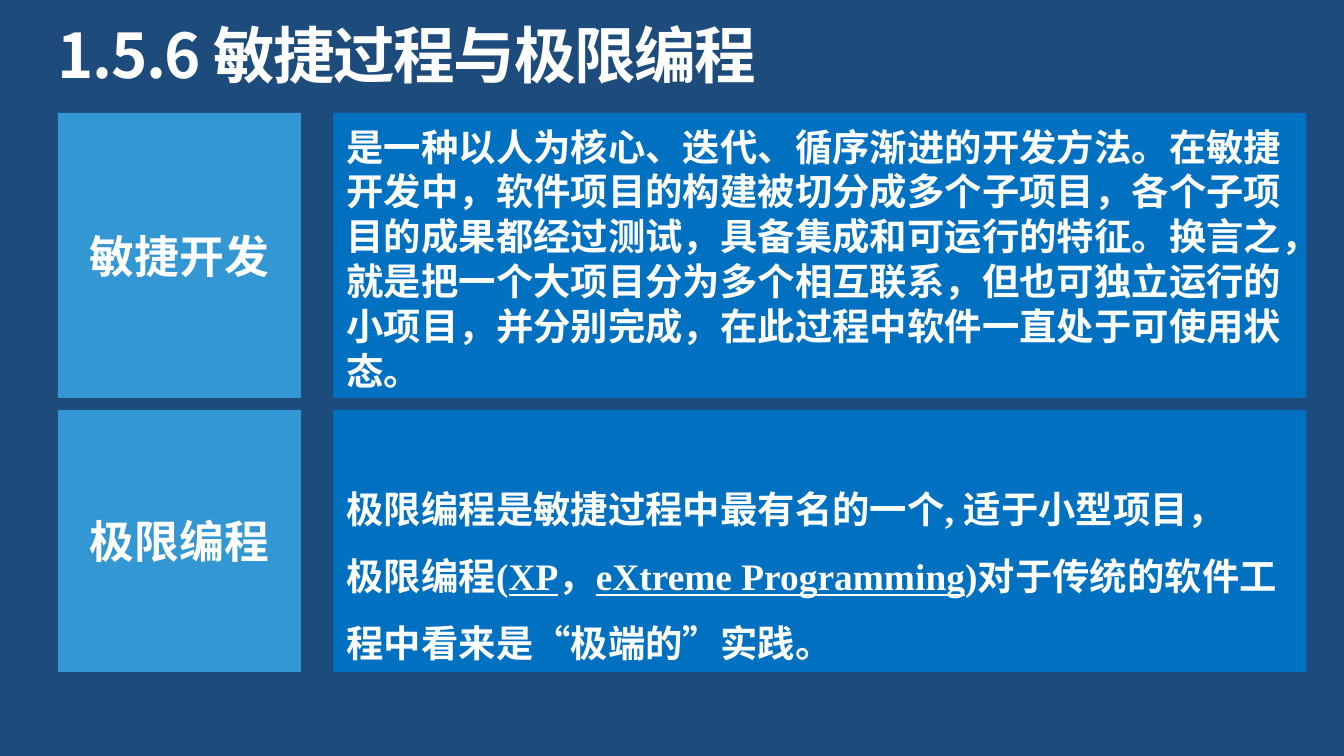
from lxml import etree
from pptx import Presentation
from pptx.dml.color import RGBColor
from pptx.enum.shapes import MSO_SHAPE
from pptx.enum.text import MSO_ANCHOR as Anchor, PP_ALIGN as Align
from pptx.oxml.ns import qn
from pptx.util import Inches, Pt

BODY_FONT = "Times New Roman"
CHINESE_FONT = "Noto Sans CJK SC"
BACKGROUND, LABEL_FILL, DETAIL_FILL, WHITE = "1D4C7C", "3397D3", "0070C0", "FFFFFF"
LEFT, LABEL_WIDTH, DETAIL_LEFT, DETAIL_WIDTH = 0.43, 1.81, 2.48, 7.24

AGILE = [[(
    "是一种以人为核心、迭代、循序渐进的开发方法。在敏捷开发中，软件项目的构建被切分成多个子项目，"
    "各个子项目的成果都经过测试，具备集成和可运行的特征。换言之，就是把一个大项目分为多个相互联系，"
    "但也可独立运行的小项目，并分别完成，在此过程中软件一直处于可使用状态。", False)]]
EXTREME = [
    [("极限编程是敏捷过程中最有名的一个, 适于小型项目，", False)],
    [("极限编程(", False), ("XP", True), ("，", False), ("eXtreme Programming", True),
     (")对于传统的软件工程中看来是“极端的”实践。", False)],
]


def color(value):
    return RGBColor.from_string(value)


def write_text(frame, paragraphs, size, font=BODY_FONT, align=Align.LEFT,
               anchor=Anchor.TOP, line_spacing=None, margins=(0.1, 0.05), tracking=None):
    """Fill a frame with paragraphs, each a list of (text, underlined) runs."""
    frame.word_wrap = True
    frame.vertical_anchor = anchor
    frame.margin_left = frame.margin_right = Inches(margins[0])
    frame.margin_top = frame.margin_bottom = Inches(margins[1])
    for index, runs in enumerate(paragraphs):
        paragraph = frame.add_paragraph() if index else frame.paragraphs[0]
        paragraph.alignment = align
        if line_spacing:
            paragraph.line_spacing = line_spacing
        for text, underlined in runs:
            run = paragraph.add_run()
            run.text = text
            run.font.size = Pt(size)
            run.font.bold = True
            run.font.underline = underlined
            run.font.color.rgb = color(WHITE)
            run.font.name = font
            properties = run.font._element
            properties.set("lang", "zh-CN")
            etree.SubElement(properties, qn("a:ea")).set("typeface", CHINESE_FONT)
            if tracking:
                properties.set("spc", str(round(tracking * 100)))


def add_title(slide, left, top, width, height, text):
    box = slide.shapes.add_textbox(Inches(left), Inches(top), Inches(width), Inches(height))
    write_text(box.text_frame, [[(text, False)]], 33, font=CHINESE_FONT,
               line_spacing=0.9, margins=(0, 0), tracking=-0.8)


def add_panel(slide, left, top, width, height, fill, paragraphs, size, **text_format):
    panel = slide.shapes.add_shape(
        MSO_SHAPE.RECTANGLE, Inches(left), Inches(top), Inches(width), Inches(height))
    panel.shadow.inherit = False
    panel.fill.solid()
    panel.fill.fore_color.rgb = color(fill)
    panel.line.fill.background()
    write_text(panel.text_frame, paragraphs, size, **text_format)


def add_topic(slide, top, height, label, details, **detail_format):
    add_panel(slide, LEFT, top, LABEL_WIDTH, height, LABEL_FILL, [[(label, False)]], 24,
              align=Align.CENTER, anchor=Anchor.MIDDLE)
    add_panel(slide, DETAIL_LEFT, top, DETAIL_WIDTH, height, DETAIL_FILL, details, 20,
              **detail_format)


def main():
    presentation = Presentation()
    presentation.slide_width = Inches(10)
    presentation.slide_height = presentation.slide_width * 9 // 16
    slide = presentation.slides.add_slide(presentation.slide_layouts[6])
    slide.background.fill.solid()
    slide.background.fill.fore_color.rgb = color(BACKGROUND)
    add_title(slide, LEFT, 0.19, 9.15, 0.5, "1.5.6 敏捷过程与极限编程")
    add_topic(slide, 0.84, 2.12, "敏捷开发", AGILE, line_spacing=Pt(24), margins=(0.1, 0.08))
    add_topic(slide, 3.05, 1.95, "极限编程", EXTREME, anchor=Anchor.BOTTOM,
              line_spacing=Pt(36))
    presentation.save("out.pptx")


if __name__ == "__main__":
    main()
